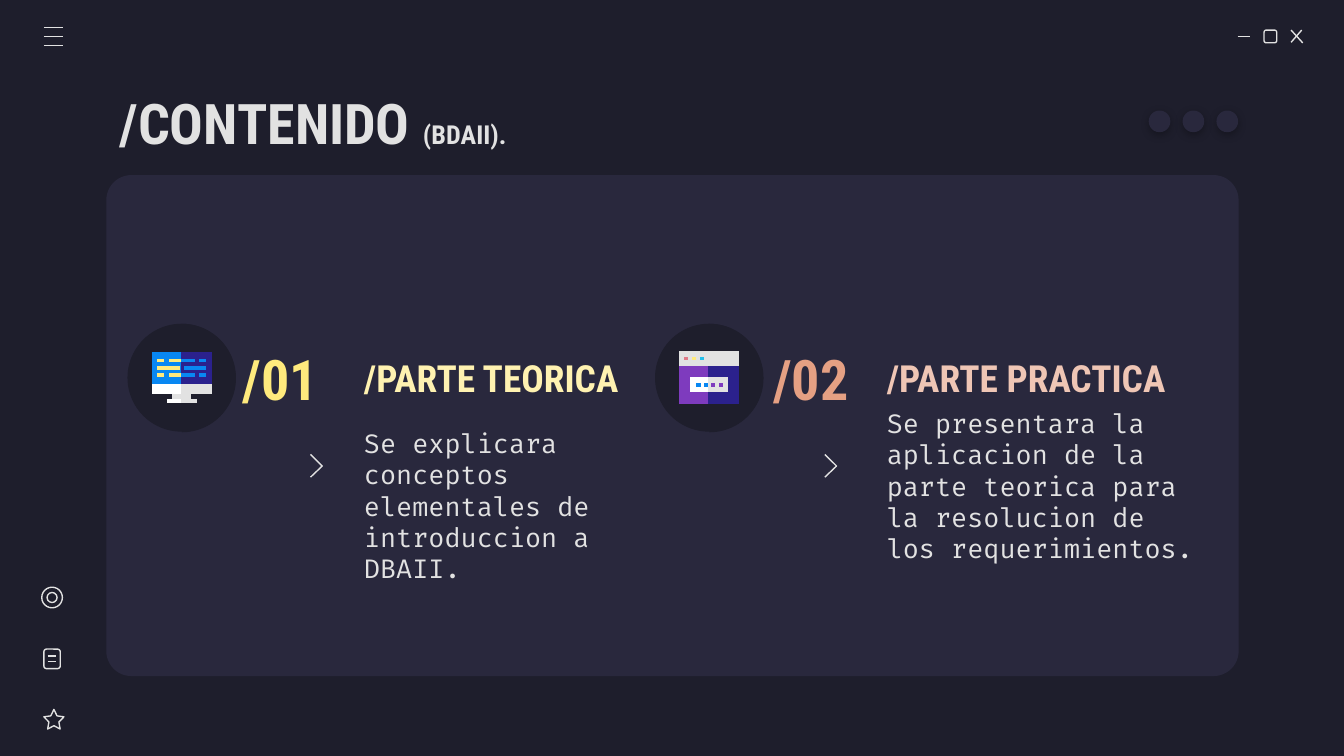
from lxml import etree
from pptx import Presentation
from pptx.dml.color import RGBColor
from pptx.enum.shapes import MSO_CONNECTOR, MSO_SHAPE
from pptx.enum.text import MSO_ANCHOR, PP_ALIGN
from pptx.oxml.ns import qn
from pptx.util import Cm, Pt

STRAIGHT = MSO_CONNECTOR.STRAIGHT
ELLIPSE, ROUNDED = MSO_SHAPE.OVAL, MSO_SHAPE.ROUNDED_RECTANGLE
PIE, STAR = MSO_SHAPE.PIE, MSO_SHAPE.STAR_5_POINT
MIDDLE = MSO_ANCHOR.MIDDLE
LEFT, CENTER = PP_ALIGN.LEFT, PP_ALIGN.CENTER

COLORS = {
    "night": "1E1E2C", "panel": "29283D", "light": "E2E2E2", "white": "FFFFFF",
    "yellow": "FFEA7D", "pale_yellow": "FFF2B1", "orange": "E5A083",
    "pale_orange": "EFC6B5", "blue": "0887F2", "indigo": "2B218D",
    "purple": "7E3BBE", "pink": "E07A88", "cyan": "24BFEB", "black": "000000",
}
HEADING, BODY = "Roboto Condensed", "Fira Code"


def rgb(name):
    return RGBColor.from_string(COLORS[name])


def add_run(paragraph, text, *, size, font=HEADING, color="light", bold=True):
    run = paragraph.add_run()
    run.text = text
    run.font.size = Pt(size)
    run.font.name = font
    run.font.bold = bold
    run.font.color.rgb = rgb(color)


class SlideBuilder:
    """Holds the current slide and its outline style."""

    def __init__(self, slide, outline="light", weight=0.75):
        self.slide = slide
        self.outline = outline
        self.weight = weight

    def stroke(self, line):
        line.color.rgb = rgb(self.outline)
        line.width = Pt(self.weight)

    def paint(self, shape, fill):
        """Fill a shape without outline, or outline it when fill is None."""
        shape.shadow.inherit = False
        if fill:
            shape.fill.solid()
            shape.fill.fore_color.rgb = rgb(fill)
            shape.line.fill.background()
        else:
            shape.fill.background()
            self.stroke(shape.line)
        return shape

    def shape(self, preset, x, y, w, h, fill=None, adjust=()):
        shape = self.slide.shapes.add_shape(preset, Cm(x), Cm(y), Cm(w), Cm(h))
        for index, value in enumerate(adjust):
            shape.adjustments[index] = value
        return self.paint(shape, fill)

    def line(self, x1, y1, x2, y2):
        line = self.slide.shapes.add_connector(STRAIGHT, Cm(x1), Cm(y1), Cm(x2), Cm(y2))
        self.stroke(line.line)
        etree.SubElement(line._element.spPr, qn("a:effectLst"))

    def outline_path(self, points, fill=None):
        """Draw a closed filled outline, or an open stroke without fill."""
        start, *rest = [(Cm(x), Cm(y)) for x, y in points]
        builder = self.slide.shapes.build_freeform(*start)
        builder.add_line_segments(rest, close=bool(fill))
        self.paint(builder.convert_to_shape(), fill)

    def block(self, fill, x1, y1, x2, y2):
        self.outline_path([(x1, y1), (x1, y2), (x2, y2), (x2, y1)], fill)

    def text(self, x, y, w, h, *runs, align=LEFT):
        """Each run is a (text, format dict) pair."""
        frame = self.slide.shapes.add_textbox(Cm(x), Cm(y), Cm(w), Cm(h)).text_frame
        frame.word_wrap = True
        frame.vertical_anchor = MIDDLE
        frame.margin_left = frame.margin_right = Cm(0.25)
        frame.margin_top = frame.margin_bottom = Cm(0.25)
        frame.paragraphs[0].alignment = align
        for text, style in runs:
            add_run(frame.paragraphs[0], text, **style)

    def soft_shadow(self, shape):
        effects = shape._element.spPr.find(qn("a:effectLst"))
        shadow = etree.SubElement(effects, qn("a:outerShdw"), blurRad=str(Pt(4.5)),
                                  dist=str(Pt(1.5)), dir="5400000", algn="bl", rotWithShape="0")
        color = etree.SubElement(shadow, qn("a:srgbClr"), val=COLORS["black"])
        etree.SubElement(color, qn("a:alpha"), val="30000")

    def badge(self, x, y):
        self.shape(ELLIPSE, x, y, 2.04, 2.04, "night")
        self.shape(PIE, x, y, 2.05, 2.05, "night", (54.39, 162)).rotation = 180


def draw_window_controls(page):
    page.line(23.39, 0.69, 23.62, 0.69)
    page.shape(ROUNDED, 23.89, 0.57, 0.24, 0.24)
    page.line(24.4, 0.57, 24.62, 0.81)
    page.line(24.6, 0.57, 24.4, 0.8)
    for y in (0.52, 0.69, 0.86):
        page.line(0.83, y, 1.2, y)


def draw_side_icons(page):
    page.shape(STAR, 0.83, 13.41, 0.38, 0.37, adjust=(0.25, 1.05, 1.11))
    page.shape(ROUNDED, 0.83, 12.27, 0.31, 0.37)
    for y in (12.4, 12.5):
        page.line(0.9, y, 1.06, y)
    page.shape(ELLIPSE, 0.79, 11.1, 0.39, 0.39)
    page.shape(ELLIPSE, 0.89, 11.2, 0.19, 0.19)


def draw_monitor(page):
    for block in (
        ("indigo", 3.38, 6.65, 4.01, 7.29), ("blue", 2.87, 6.65, 3.43, 7.29),
        ("light", 3.38, 7.39, 3.61, 7.59), ("light", 3.25, 7.39, 3.43, 7.59),
        ("light", 3.4, 7.54, 3.73, 7.62), ("white", 3.15, 7.54, 3.43, 7.62),
        ("light", 3.38, 7.26, 4.01, 7.44), ("white", 2.87, 7.26, 3.43, 7.44),
    ):
        page.block(*block)
    split_row = (("yellow", 2.97, 3.1), ("blue", 3.76, 3.89),
                 ("blue", 3.4, 3.68), ("yellow", 3.2, 3.43))
    full_row = (("blue", 3.48, 3.89), ("yellow", 2.97, 3.4))
    for index, row in enumerate((split_row, full_row, split_row)):
        y = 6.78 + 0.14 * index
        for color, x1, x2 in row:
            page.block(color, x1, y, x2, y + 0.07)


def draw_browser(page):
    for block in (
        ("indigo", 13.36, 6.88, 13.97, 7.63), ("purple", 12.83, 6.88, 13.39, 7.63),
        ("light", 13.36, 6.63, 13.97, 6.91), ("light", 12.83, 6.63, 13.39, 6.91),
        ("light", 13.36, 7.13, 13.75, 7.41), ("white", 13.05, 7.13, 13.39, 7.41),
    ):
        page.block(*block)
    for index, color in enumerate(("pink", "yellow", "cyan")):
        x = 12.93 + 0.15 * index
        page.block(color, x, 6.75, x + 0.07, 6.81)
    for index, color in enumerate(("blue", "blue", "purple", "purple")):
        x = 13.16 + 0.14 * index
        page.block(color, x, 7.24, x + 0.08, 7.32)


def main():
    deck = Presentation()
    deck.slide_width, deck.slide_height = Cm(25.4), Cm(14.29)
    slide = deck.slides.add_slide(deck.slide_layouts[6])
    slide.background.fill.solid()
    slide.background.fill.fore_color.rgb = rgb("night")
    page = SlideBuilder(slide)

    page.shape(ROUNDED, 2.01, 3.31, 21.4, 9.47, "panel", (0.05,))
    draw_window_controls(page)
    page.text(2.01, 1.5, 21.4, 1.6,
              ("/CONTENIDO ", {"size": 30}), ("(BDAII).", {"size": 14}))
    draw_side_icons(page)
    for index in range(3):
        page.soft_shadow(page.shape(ELLIPSE, 22.99 - 0.64 * index, 2.09, 0.41, 0.41, "panel"))

    sections = (
        ("/01", "yellow", 4.14, "/PARTE TEORICA", "pale_yellow", 6.63,
         "Se explicara conceptos elementales de introduccion a DBAII.", 8.61,
         5.87, 2.41, draw_monitor),
        ("/02", "orange", 14.17, "/PARTE PRACTICA", "pale_orange", 16.51,
         "Se presentara la aplicacion de la parte teorica para la resolucion de los requerimientos.",
         8.23, 15.59, 12.38, draw_browser),
    )
    for (number, number_color, number_x, heading, heading_color, text_x,
         summary, summary_y, chevron_x, badge_x, draw_icon) in sections:
        page.text(text_x, 6.43, 6.5, 1.42, (heading, {"size": 20, "color": heading_color}))
        page.text(number_x, 6.43, 2.31, 1.42,
                  (number, {"size": 30, "color": number_color}), align=CENTER)
        page.text(text_x, summary_y, 6.5, 1.9,
                  (summary, {"size": 14, "font": BODY, "bold": False}))
        page.outline_path([(chevron_x, 8.59), (chevron_x + 0.22, 8.81), (chevron_x, 9.02)])
        page.badge(badge_x, 6.12)
        draw_icon(page)

    deck.save("out.pptx")


if __name__ == "__main__":
    main()
